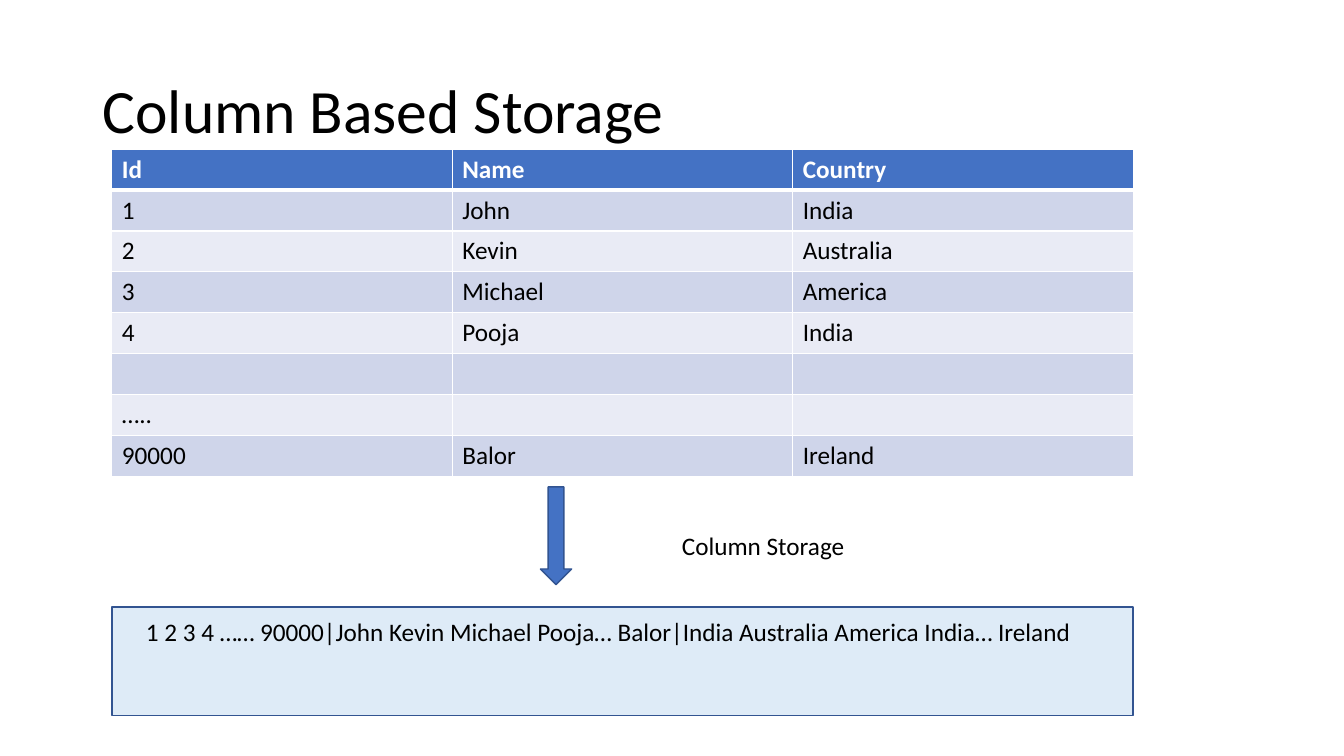
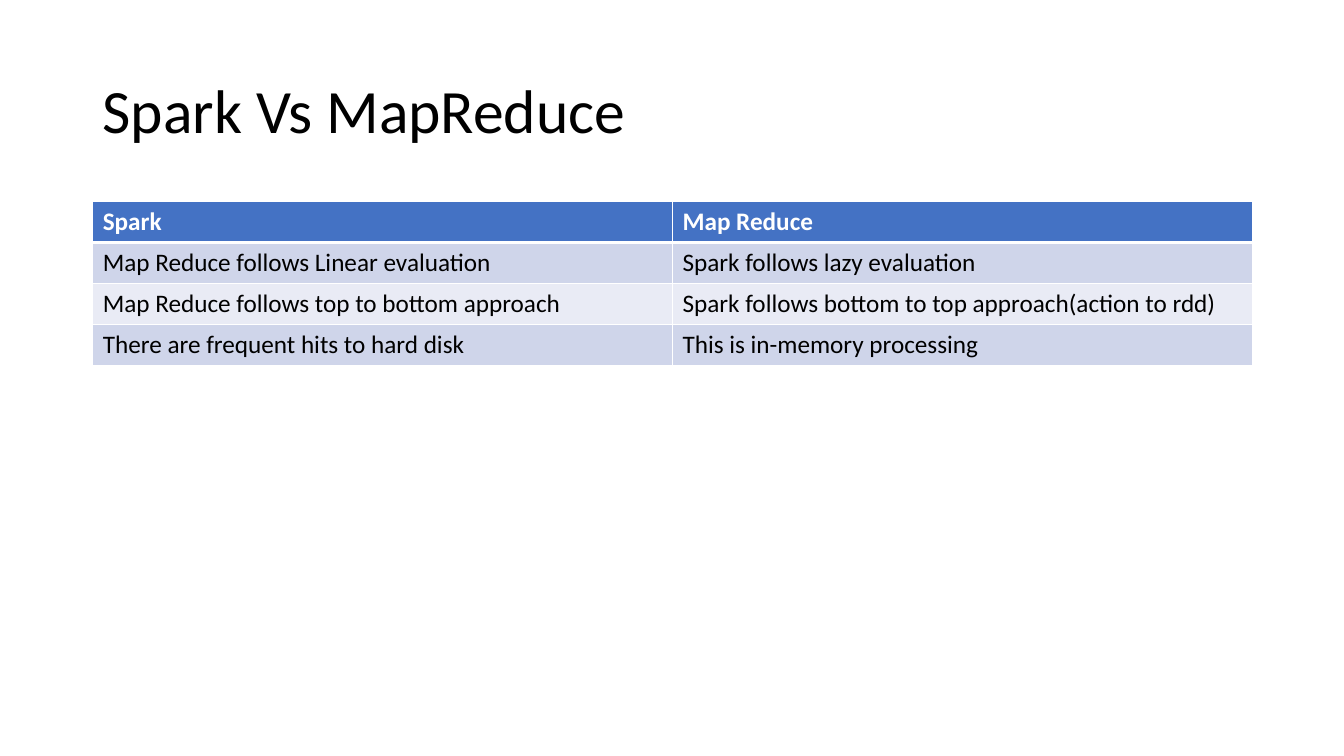
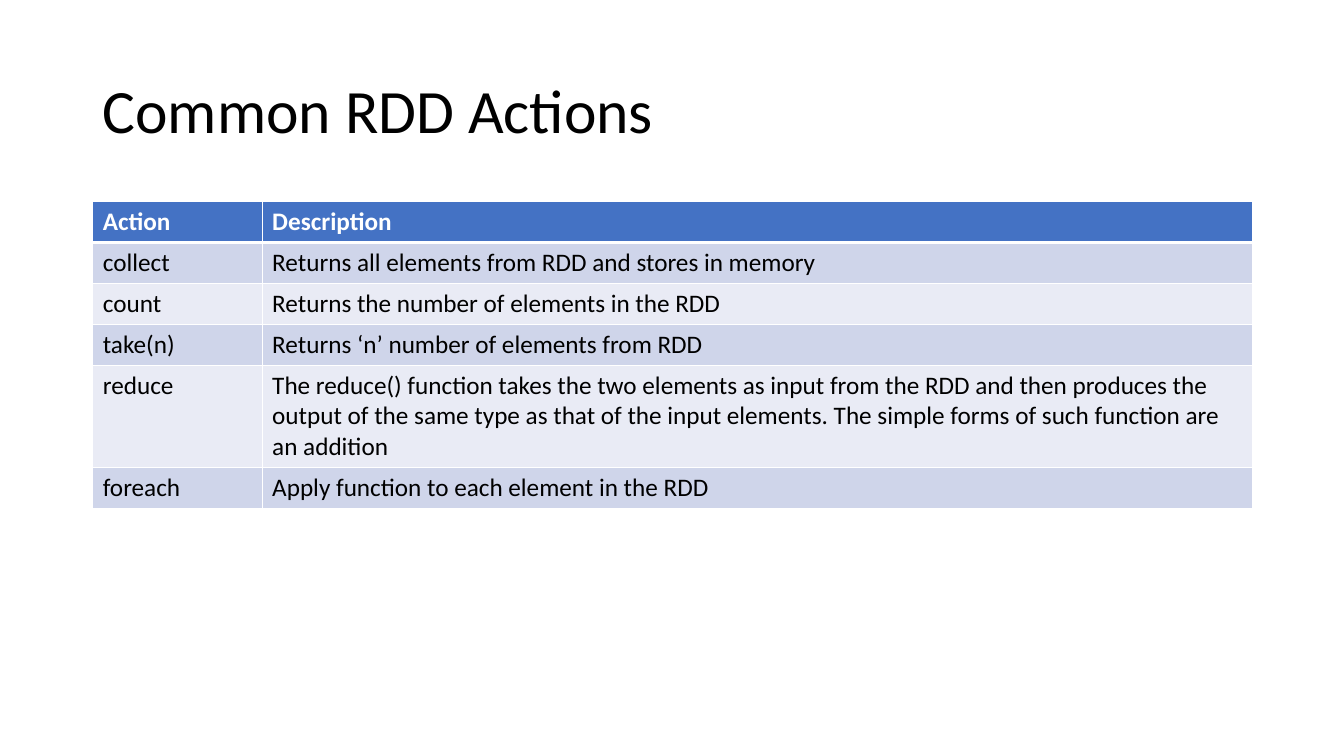
"""Build three slides on column storage, Spark against MapReduce, and RDD actions."""
from lxml.etree import SubElement
from pptx import Presentation
from pptx.dml.color import RGBColor
from pptx.enum.shapes import MSO_SHAPE
from pptx.enum.text import MSO_ANCHOR
from pptx.oxml.ns import qn
from pptx.util import Inches, Pt

STORAGE = [
    ("Id", "Name", "Country"),
    ("1", "John", "India"),
    ("2", "Kevin", "Australia"),
    ("3", "Michael", "America"),
    ("4", "Pooja", "India"),
    ("", "", ""),
    ("…..", "", ""),
    ("90000", "Balor", "Ireland"),
]
COMPARISON = [
    ("Spark", "Map Reduce"),
    ("Map Reduce follows Linear evaluation", "Spark follows lazy evaluation"),
    ("Map Reduce follows top to bottom approach",
     "Spark follows bottom to top approach(action to rdd)"),
    ("There are frequent hits to hard disk", "This is in-memory processing"),
]
ACTIONS = [
    ("Action", "Description"),
    ("collect", "Returns all elements from RDD and stores in memory"),
    ("count", "Returns the number of elements in the RDD"),
    ("take(n)", "Returns ‘n’ number of elements from RDD"),
    ("reduce", "The reduce() function takes the two elements as input from the RDD "
               "and then produces the output of the same type as that of the input "
               "elements. The simple forms of such function are an addition"),
    ("foreach", "Apply function to each element in the RDD"),
]
STORED = ("1 2 3 4 …… 90000|John Kevin Michael Pooja… Balor|"
          "India Australia America India… Ireland")

W, H = 13.33, 7.5
MARGIN = 0.92
CONTENT_W = 11.5
BODY_TOP = 2
STORE_X, STORE_W = 1.11, 10.13
ROW_PT, LINE_PT = 29.2, 22
FONT = "Calibri"
BLUE, EDGE, PALE = "4472C4", "325491", "DEEBF7"
BANDS = ("E9EBF5", "CFD5EA")
BLACK, WHITE = "000000", "FFFFFF"
TITLE = {"size": Pt(44), "name": FONT}
BODY = {"size": Pt(18), "name": FONT, "bold": False}
HEAD = {**BODY, "bold": True}


def rgb(value):
    return RGBColor.from_string(value)


def write(tf, text, style, color=BLACK):
    p = tf.paragraphs[0]
    r = p.add_run()
    r.text = text
    for key, value in style.items():
        setattr(r.font, key, value)
    r.font.color.rgb = rgb(color)
    return p


def add_text(s, box, text, style=BODY):
    tf = s.shapes.add_textbox(*map(Inches, box)).text_frame
    tf.word_wrap = True
    return tf, write(tf, text, style)


def add_slide(prs, title):
    s = prs.slides.add_slide(prs.slide_layouts[6])
    tf, p = add_text(s, (MARGIN, 0.4, CONTENT_W, 1.45), title, TITLE)
    tf.vertical_anchor = MSO_ANCHOR.MIDDLE
    p.line_spacing = 0.9
    return s


def add_borders(cell, row):
    tcPr = cell._tc.get_or_add_tcPr()
    widths = {"L": 1, "R": 1, "T": 3 if row == 1 else 1, "B": 3 if row == 0 else 1}
    for side, width in widths.items():
        ln = SubElement(tcPr, qn(f"a:ln{side}"), w=str(Pt(width)))
        SubElement(SubElement(ln, qn("a:solidFill")), qn("a:srgbClr"), val=WHITE)


def add_grid(s, rows, left, top, width, shares, lines=None):
    heights = [Pt(ROW_PT + LINE_PT * ((lines or {}).get(row[0], 1) - 1)) for row in rows]
    table = s.shapes.add_table(len(rows), len(shares), Inches(left), Inches(top),
                               Inches(width), sum(heights)).table
    for col, share in zip(table.columns, shares):
        col.width = Inches(width * share / sum(shares))
    for i, row in enumerate(rows):
        table.rows[i].height = heights[i]
        for j, text in enumerate(row):
            cell = table.cell(i, j)
            add_borders(cell, i)
            cell.fill.solid()
            cell.fill.fore_color.rgb = rgb(BANDS[i % 2] if i else BLUE)
            if text:
                write(cell.text_frame, text, BODY if i else HEAD, BLACK if i else WHITE)


def add_block(s, kind, box, fill):
    sp = s.shapes.add_shape(kind, *map(Inches, box))
    sp.shadow.inherit = False
    sp.fill.solid()
    sp.fill.fore_color.rgb = rgb(fill)
    sp.line.color.rgb = rgb(EDGE)
    sp.line.width = Pt(1)


def main():
    prs = Presentation()
    prs.slide_width, prs.slide_height = Inches(W), Inches(H)

    s = add_slide(prs, "Column Based Storage")
    add_grid(s, STORAGE, STORE_X, 1.48, STORE_W, (1, 1, 1))
    add_block(s, MSO_SHAPE.RECTANGLE, (STORE_X, 6.02, STORE_W, 1.08), PALE)
    add_text(s, (1.35, 6.07, 9.47, 0.4), STORED)
    add_block(s, MSO_SHAPE.DOWN_ARROW, (5.36, 4.83, 0.31, 0.97), BLUE)
    add_text(s, (W / 2, 5.21, 4.01, 0.4), "Column Storage")

    s = add_slide(prs, "Spark Vs MapReduce")
    add_grid(s, COMPARISON, MARGIN, BODY_TOP, CONTENT_W, (1, 1))

    s = add_slide(prs, "Common RDD Actions")
    add_grid(s, ACTIONS, MARGIN, BODY_TOP, CONTENT_W, (1.68, 9.82), {"reduce": 3})

    prs.save("out.pptx")


if __name__ == "__main__":
    main()
